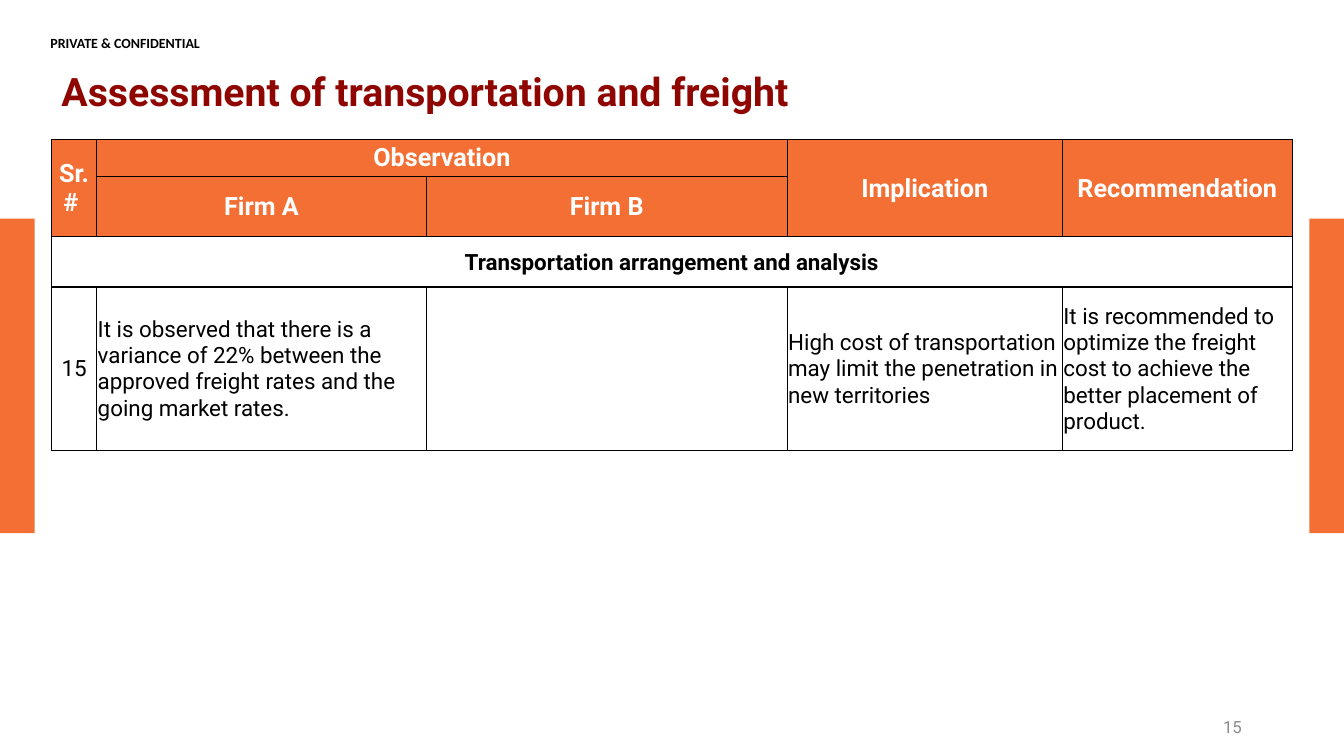
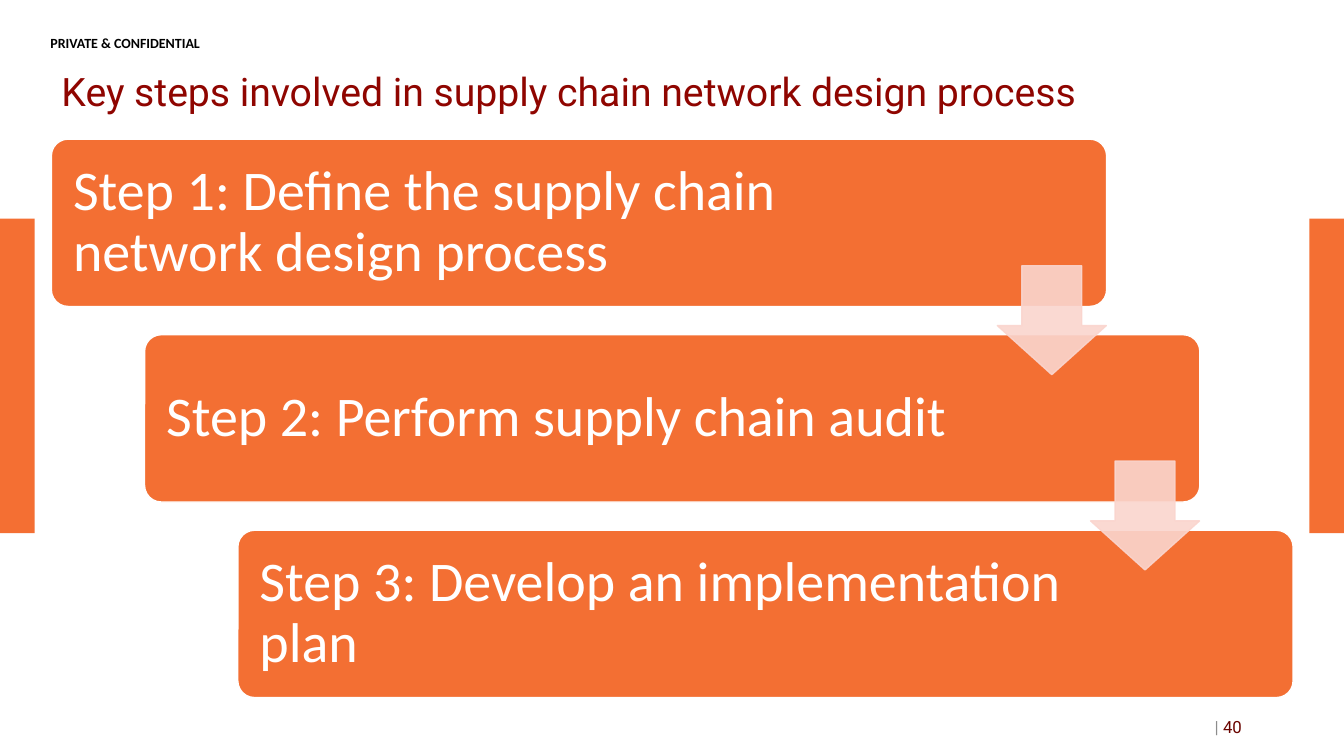
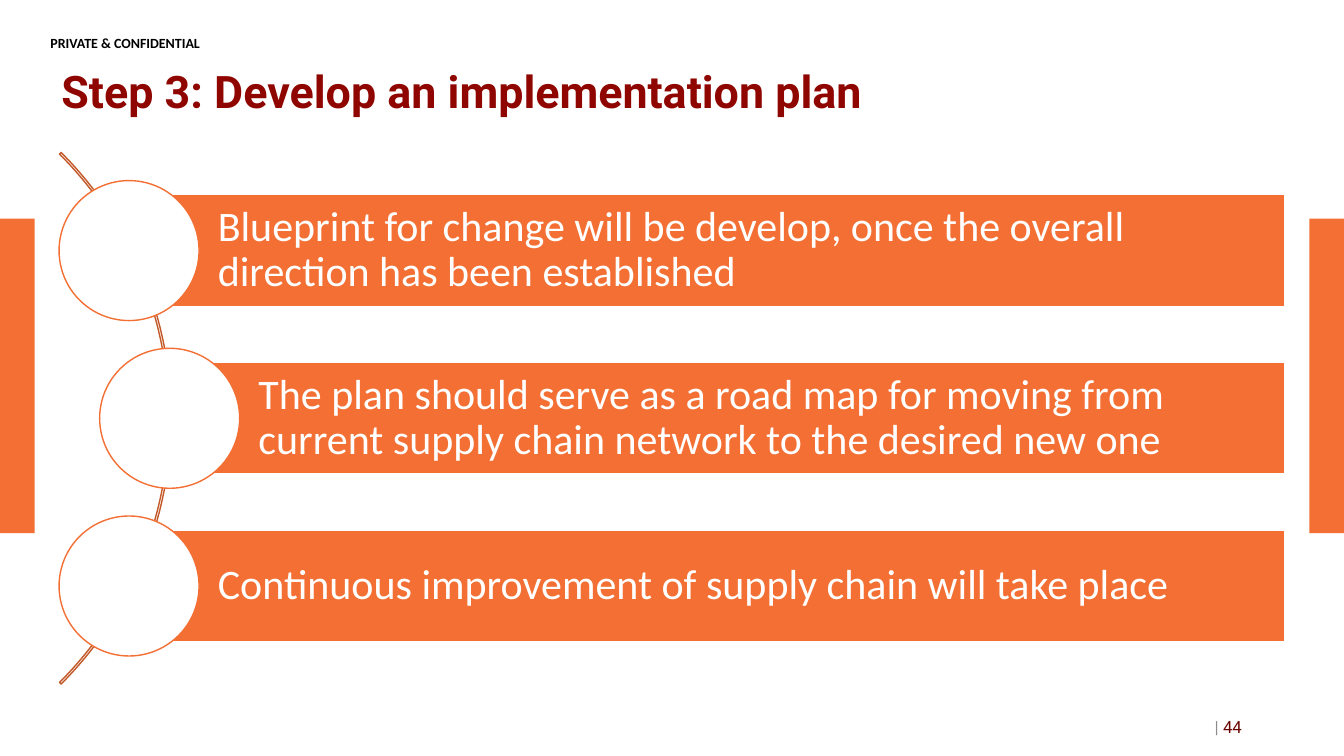
import pptx
import pptx.util
import pptx.dml.color
import pptx.enum.dml
import pptx.enum.shapes
import pptx.enum.text
import pptx.oxml
import pptx.oxml.ns
from lxml import etree

Pt = pptx.util.Pt
SHAPES = pptx.enum.shapes.MSO_SHAPE
ALIGN = pptx.enum.text.PP_ALIGN
MIDDLE = pptx.enum.text.MSO_ANCHOR.MIDDLE
TOP = pptx.enum.text.MSO_ANCHOR.TOP

COLORS = {
    "band": "F46F33",
    "accent": "F36F33",
    "arc": "C35929",
    "arrow": "FAD5CE",
    "title": "8F0500",
    "number": "6A0500",
    "gray": "8C8C8C",
    "white": "FFFFFF",
    "black": "000000",
}
HEADING_FONT = "Roboto"
BODY_FONT = "Calibri"
TABLE_INSETS = (0.72, 0.72, 0.72, 0)


def rgb(name):
    return pptx.dml.color.RGBColor.from_string(COLORS[name])


def style_font(font, name, size, color, bold=False):
    font.name = name
    font.size = Pt(size)
    font.bold = bold
    font.color.rgb = rgb(color)


def set_frame(frame, insets, anchor):
    frame.word_wrap = True
    frame.auto_size = pptx.enum.text.MSO_AUTO_SIZE.NONE
    frame.vertical_anchor = anchor
    (frame.margin_left, frame.margin_top,
     frame.margin_right, frame.margin_bottom) = map(Pt, insets)


def add_text(page, area, text, insets, anchor, align=ALIGN.LEFT):
    box = page.shapes.add_textbox(*map(Pt, area))
    set_frame(box.text_frame, insets, anchor)
    para = box.text_frame.paragraphs[0]
    para.text = text
    para.alignment = align
    return box


def add_figure(page, preset, area, fill=None, line=None, adjustments=()):
    figure = page.shapes.add_shape(preset, *map(Pt, area))
    figure.shadow.inherit = False
    for index, value in enumerate(adjustments):
        figure.adjustments[index] = value
    if fill:
        figure.fill.solid()
        figure.fill.fore_color.rgb = rgb(fill)
    else:
        figure.fill.background()
    if line:
        figure.line.color.rgb = rgb(line)
        figure.line.width = Pt(1)
    else:
        figure.line.fill.background()
    return figure


def add_label(figure, text, size, insets):
    set_frame(figure.text_frame, insets, MIDDLE)
    para = figure.text_frame.paragraphs[0]
    para.text = text
    para.alignment = ALIGN.LEFT
    para.line_spacing = 0.9
    style_font(para.font, BODY_FONT, size, "white")


def set_opacity(figure, percent):
    for color in figure._element.spPr.iter(pptx.oxml.ns.qn("a:srgbClr")):
        alpha = etree.SubElement(color, pptx.oxml.ns.qn("a:alpha"))
        alpha.set("val", str(percent * 1000))


def decorate_layout(layout, page):
    bands = [add_figure(page, SHAPES.RECTANGLE, (left, 156.2, 24.7, 224.6), "band")
             for left in (0, 935.3)]
    notice = add_text(page, (36, 24.5, 182, 8.6), "PRIVATE & CONFIDENTIAL",
                      (0, 0, 0, 0), TOP)
    style_font(notice.text_frame.paragraphs[0].font, BODY_FONT, 10, "black", True)
    for item in [*bands, notice]:
        layout.shapes._spTree.append(item._element)


def set_title(page, text, size=28, bold=True):
    title = page.shapes.title
    title.left, title.top, title.width, title.height = map(Pt, (36.7, 41.8, 782, 51))
    set_frame(title.text_frame, (7.2, 3.6, 7.2, 3.6), MIDDLE)
    para = title.text_frame.paragraphs[0]
    para.text = text
    para.alignment = ALIGN.LEFT
    para.line_spacing = 0.9
    style_font(para.font, HEADING_FONT, size, "title", bold)


def add_page_number(page, number, barred=True):
    box = add_text(page, (678.2, 504.7, 216, 28.8), "",
                   (7.2, 3.6, 7.2, 3.6), MIDDLE, ALIGN.RIGHT)
    para = box.text_frame.paragraphs[0]
    parts = [("| ", "gray"), (number, "number")] if barred else [(number, "gray")]
    for text, color in parts:
        span = para.add_run()
        span.text = text
        style_font(span.font, HEADING_FONT, 12, color)


def set_borders(cell):
    properties = cell._tc.get_or_add_tcPr()
    for index, side in enumerate("LRTB"):
        border = pptx.oxml.parse_xml(
            f'<a:ln{side} {pptx.oxml.ns.nsdecls("a")} w="12700"><a:solidFill>'
            f'<a:srgbClr val="{COLORS["black"]}"/></a:solidFill></a:ln{side}>')
        properties.insert(index, border)


def fill_cell(cell, text, size, color, bold, align, fill):
    (cell.margin_left, cell.margin_top,
     cell.margin_right, cell.margin_bottom) = map(Pt, TABLE_INSETS)
    cell.vertical_anchor = MIDDLE
    para = cell.text_frame.paragraphs[0]
    para.text = text
    para.alignment = align
    style_font(para.font, HEADING_FONT, size, color, bold)
    if fill:
        cell.fill.solid()
        cell.fill.fore_color.rgb = rgb(fill)
    else:
        cell.fill.background()
    set_borders(cell)


def add_findings_table(page):
    widths = (32.4, 235.4, 257.8, 196.6, 164.2)
    heights = (26.8, 42.6, 35.8, 117)
    rows = (
        ("Sr. # ", "Observation", "", "Implication", "Recommendation"),
        ("", "Firm A", "Firm B", "", ""),
        ("Transportation arrangement and analysis", "", "", "", ""),
        ("15",
         "It is observed that there is a variance of 22% between the approved "
         "freight rates and the going market rates.",
         "",
         "High cost of transportation may limit the penetration in new territories",
         "It is recommended to optimize the freight cost to achieve the better "
         "placement of product."),
    )
    merges = (((0, 0), (1, 0)), ((0, 1), (0, 2)), ((0, 3), (1, 3)),
              ((0, 4), (1, 4)), ((2, 0), (2, 4)))
    frame = page.shapes.add_table(len(rows), len(widths), Pt(36.7), Pt(99.4),
                                  Pt(sum(widths)), Pt(sum(heights)))
    table = frame.table
    table.first_row = table.horz_banding = False
    for column, width in zip(table.columns, widths):
        column.width = Pt(width)
    for row, height in zip(table.rows, heights):
        row.height = Pt(height)
    for row_index, texts in enumerate(rows):
        header = row_index < 2
        for column_index, text in enumerate(texts):
            centered = row_index < 3 or column_index == 0
            fill_cell(table.cell(row_index, column_index), text,
                      18 if header else 16, "white" if header else "black",
                      row_index < 3, ALIGN.CENTER if centered else ALIGN.LEFT,
                      "accent" if header else None)
    for first, last in merges:
        table.cell(*first).merge(table.cell(*last))


def add_staircase(page, steps):
    for index, text in enumerate(steps):
        area = (36.7 + 66.6 * index, 99.4 + 139.7 * index, 753.8, 119.5)
        step = add_figure(page, SHAPES.ROUNDED_RECTANGLE, area, "accent", "white", (0.1,))
        add_label(step, text, 40, (12, 12, 135, 12))
    for index in range(len(steps) - 1):
        area = (712.4 + 66.6 * index, 189.8 + 139.5 * index, 77.8, 77.8)
        arrow = add_figure(page, SHAPES.DOWN_ARROW, area, "arrow", "arrow", (0.55, 0.45))
        set_opacity(arrow, 90)


def add_curved_list(page, entries):
    right, bar_height, diameter = 917.6, 79.8, 100
    add_figure(page, SHAPES.BLOCK_ARC, (-414.7, 30.3, 537, 537),
               line="arc", adjustments=(189, 27, 0.003))
    for index, (text, center_x) in enumerate(entries):
        center_y = 179 + 119.8 * index
        bar = add_figure(page, SHAPES.RECTANGLE,
                         (center_x, center_y - bar_height / 2, right - center_x, bar_height),
                         "accent", "white")
        add_label(bar, text, 30, (63.4, 5.8, 5.8, 5.8))
        add_figure(page, SHAPES.OVAL,
                   (center_x - diameter / 2, center_y - diameter / 2, diameter, diameter),
                   "white", "accent")


def main():
    deck = pptx.Presentation()
    deck.slide_width, deck.slide_height = Pt(960), Pt(540)
    layout = deck.slide_layouts[5]
    findings, steps, plan = [deck.slides.add_slide(layout) for _ in range(3)]
    decorate_layout(layout, findings)

    set_title(findings, "Assessment of transportation and freight")
    add_findings_table(findings)
    add_page_number(findings, "15", barred=False)

    set_title(steps, "Key steps involved in supply chain network design process", bold=False)
    add_staircase(steps, (
        "Step 1: Define the supply chain network design process",
        "Step 2: Perform supply chain audit",
        "Step 3: Develop an implementation plan",
    ))
    add_page_number(steps, "40")

    set_title(plan, "Step 3: Develop an implementation plan", size=32)
    add_curved_list(plan, (
        ("Blueprint for change will be develop, once the overall direction "
         "has been established", 92.2),
        ("The plan should serve as a road map for moving from current supply "
         "chain network to the desired new one", 121.2),
        ("Continuous improvement of supply chain will take place", 92.2),
    ))
    add_page_number(plan, "44")
    deck.save("out.pptx")


if __name__ == "__main__":
    main()
